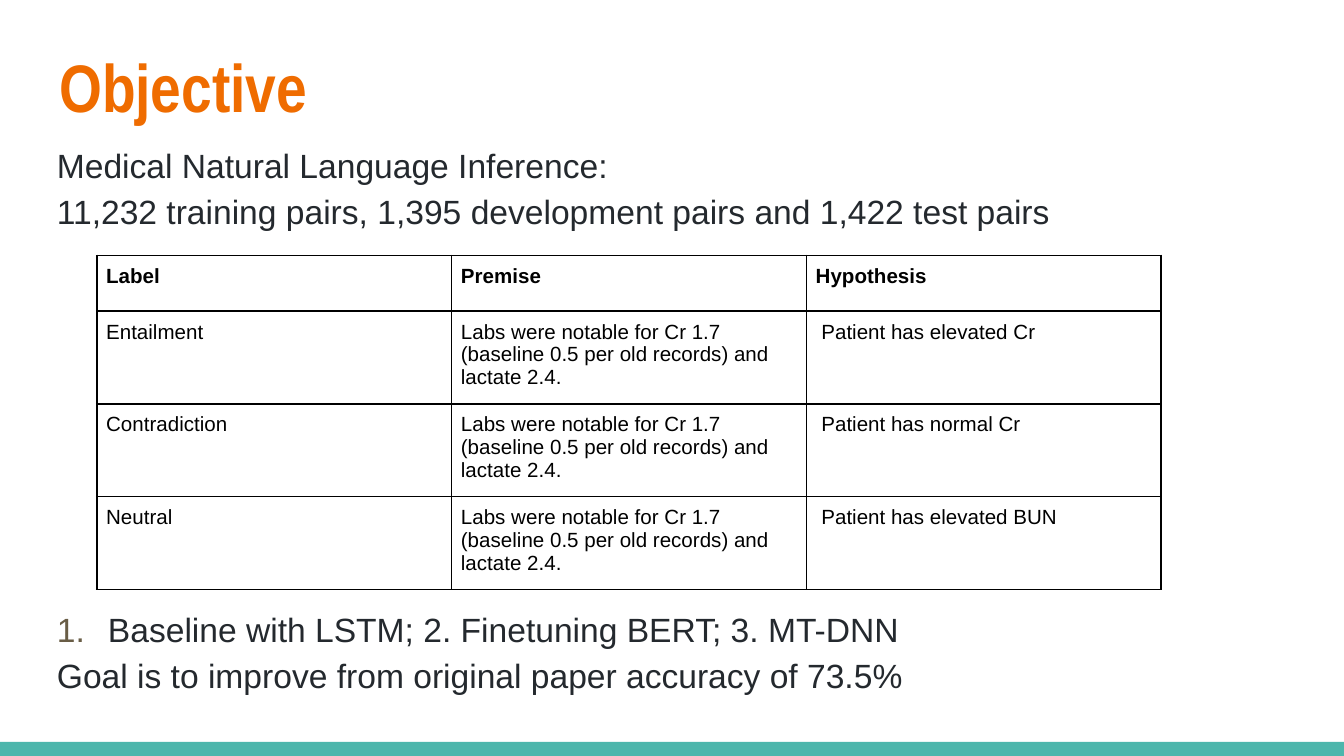
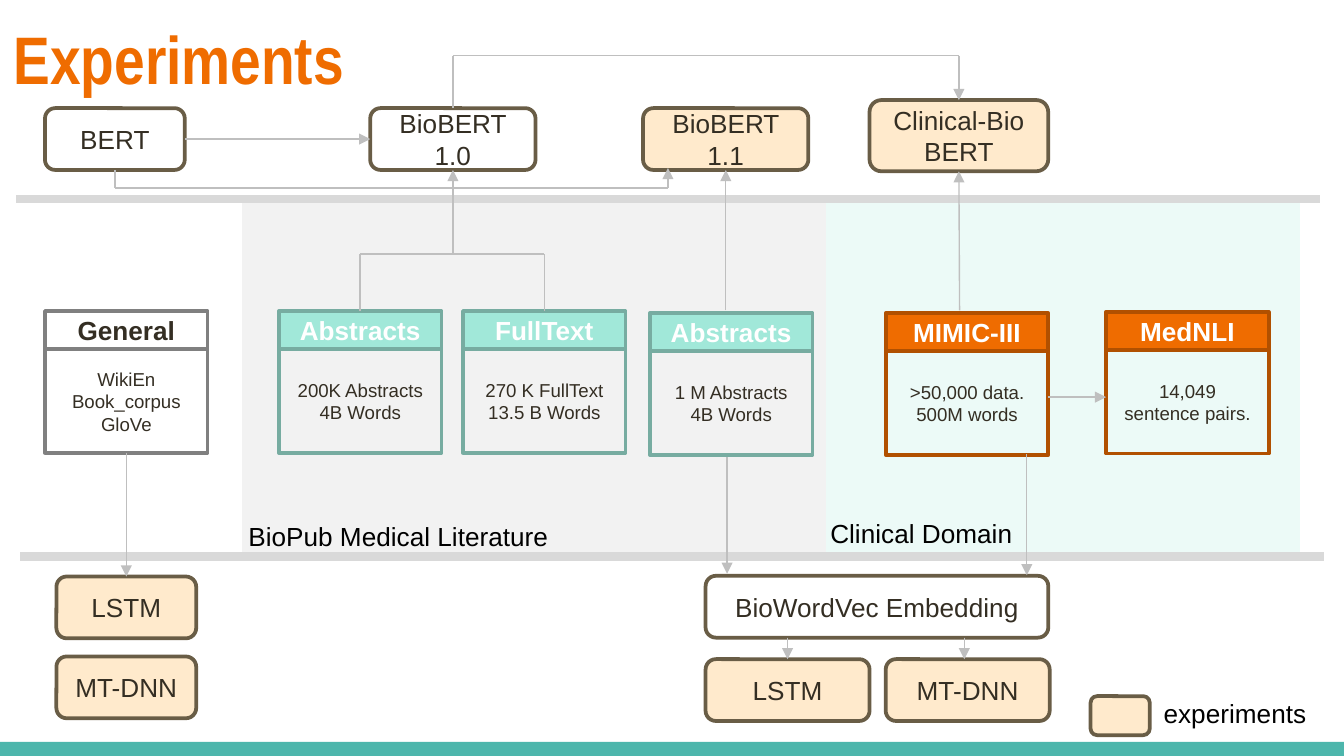
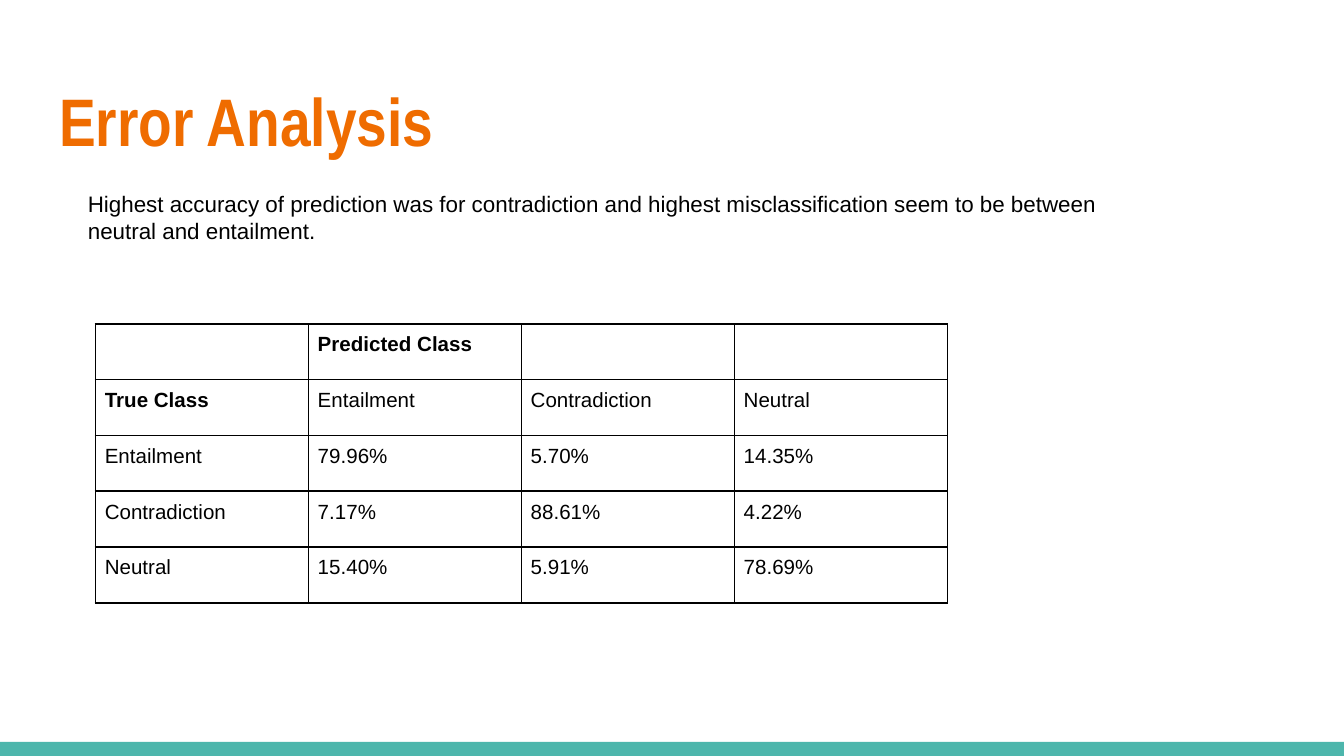
"""Build three slides on medical language inference."""
from dataclasses import dataclass
from typing import NamedTuple

from lxml.etree import SubElement as Sub
from pptx import Presentation
from pptx.dml.color import RGBColor as RGB
from pptx.enum.shapes import MSO_CONNECTOR as Link, MSO_SHAPE as Kind
from pptx.enum.text import MSO_ANCHOR as Anchor, MSO_AUTO_SIZE as Fit, PP_ALIGN as Align
from pptx.oxml import parse_xml as to_xml
from pptx.oxml.ns import nsdecls, qn
from pptx.shapes.autoshape import Shape
from pptx.slide import Slide
from pptx.text.text import TextFrame
from pptx.util import Pt

SCALE = 4572
WIDE, TALL = 2000, 1125

BLACK = RGB(0x00, 0x00, 0x00)
WHITE = RGB(0xFF, 0xFF, 0xFF)
ORANGE = RGB(0xEF, 0x6C, 0x00)
RUST = RGB(0xB1, 0x50, 0x00)
TEAL = RGB(0x4D, 0xB6, 0xAC)
MINT = RGB(0xA1, 0xE8, 0xD9)
SAGE = RGB(0x77, 0xAC, 0xA1)
FOAM = RGB(0xEC, 0xFA, 0xF7)
CREAM = RGB(0xFF, 0xEA, 0xCC)
BROWN = RGB(0x69, 0x5D, 0x46)
DARK = RGB(0x34, 0x2E, 0x23)
SLATE = RGB(0x24, 0x29, 0x2E)
GREY = RGB(0x80, 0x80, 0x80)
SILVER = RGB(0xBF, 0xBF, 0xBF)
ASH = RGB(0xD9, 0xD9, 0xD9)
PALE = RGB(0xF2, 0xF2, 0xF2)


@dataclass(frozen=True)
class Style:
    size: int
    ink: RGB = BLACK
    bold: bool = False
    align: Align = Align.LEFT
    face: str = "Arial"


HEAD = Style(36, ORANGE, True, face="Arial Narrow")
BODY = Style(18, SLATE)
NOTE = Style(12)
LABEL = Style(14)
NODE = Style(14, DARK, align=Align.CENTER)
FACT = Style(10, DARK, align=Align.CENTER)
CELL = Style(11)
STRONG = Style(11, bold=True)


class Box(NamedTuple):
    x: int
    y: int
    w: int
    h: int


class Node(NamedTuple):
    box: Box
    lines: tuple[str, ...]
    fill: RGB | None = CREAM


class Card(NamedTuple):
    x: int
    y: int
    title: str
    lines: tuple[str, ...]
    fill: RGB | None = MINT
    edge: RGB = SAGE
    ink: RGB = WHITE


class Wire(NamedTuple):
    x1: int
    y1: int
    x2: int
    y2: int
    arrow: bool = True


class Grid(NamedTuple):
    x: int
    y: int
    col: int
    row: int
    cells: tuple[tuple[str, ...], ...]
    bold: tuple[str, ...]


LABS = "Labs were notable for Cr 1.7 (baseline 0.5 per old records) and lactate 2.4."
PAIRS = Grid(144, 380, 528, 83, (
    ("Label", "Premise", "Hypothesis"),
    ("Entailment", LABS, " Patient has elevated Cr"),
    ("Contradiction", LABS, " Patient has normal Cr"),
    ("Neutral", LABS, " Patient has elevated BUN"),
), ("Label", "Premise", "Hypothesis"))
ERRORS = Grid(142, 482, 317, 83, (
    ("", "Predicted Class", "", ""),
    ("True Class", "Entailment", "Contradiction", "Neutral"),
    ("Entailment", "79.96%", "5.70%", "14.35%"),
    ("Contradiction", "7.17%", "88.61%", "4.22%"),
    ("Neutral", "15.40%", "5.91%", "78.69%"),
), ("Predicted Class", "True Class"))

PANELS = ((Box(1232, 296, 700, 532), FOAM), (Box(363, 296, 864, 532), PALE))
RAILS = (Wire(24, 296, 1964, 296, False), Wire(30, 828, 1970, 828, False))
CARDS = (
    Card(67, 463, "General", ("WikiEn", "Book_corpus", "GloVe"), None, GREY, DARK),
    Card(415, 463, "Abstracts", ("200K Abstracts", "4B Words")),
    Card(689, 463, "FullText", ("270 K FullText", "13.5 B Words")),
    Card(967, 466, "Abstracts", ("1 M Abstracts", "4B Words")),
    Card(1318, 466, "MIMIC-III", (">50,000 data. 500M words",), ORANGE, RUST),
    Card(1646, 464, "MedNLI", ("14,049 sentence pairs.",), ORANGE, RUST),
)
NODES = (
    Node(Box(67, 161, 208, 92), ("BERT",), None),
    Node(Box(551, 161, 246, 92), ("BioBERT 1.0",), None),
    Node(Box(957, 161, 246, 92), ("BioBERT 1.1",)),
    Node(Box(1294, 149, 266, 106), ("Clinical-Bio", "BERT")),
    Node(Box(84, 858, 208, 92), ("LSTM",)),
    Node(Box(84, 977, 208, 92), ("MT-DNN",)),
    Node(Box(1050, 857, 510, 92), ("BioWordVec Embedding",), None),
    Node(Box(1050, 981, 244, 92), ("LSTM",)),
    Node(Box(1318, 981, 244, 92), ("MT-DNN",)),
    Node(Box(1623, 1036, 88, 58), ()),
)
LABELS = (
    (Box(350, 764, 632, 68), "BioPub Medical Literature"),
    (Box(1216, 760, 452, 68), "Clinical Domain"),
    (Box(1712, 1028, 280, 68), "experiments"),
)
WIRES = (
    Wire(1560, 591, 1646, 591),
    Wire(536, 463, 536, 378, False),
    Wire(536, 378, 810, 378, False),
    Wire(810, 463, 810, 378, False),
    Wire(674, 378, 674, 253),
    Wire(674, 161, 674, 83, False),
    Wire(674, 83, 1427, 83, False),
    Wire(1427, 83, 1427, 149),
    Wire(1428, 462, 1427, 255),
    Wire(1080, 462, 1080, 253),
    Wire(275, 207, 551, 207),
    Wire(171, 253, 171, 280, False),
    Wire(171, 280, 994, 280, False),
    Wire(994, 280, 994, 250),
    Wire(188, 674, 188, 858),
    Wire(1082, 680, 1082, 854),
    Wire(1528, 676, 1528, 856),
    Wire(1172, 949, 1172, 981),
    Wire(1435, 949, 1435, 981),
)


def px(*sizes: int) -> list[int]:
    return [size * SCALE for size in sizes]


def pad(frame: TextFrame, side: int, top: int) -> None:
    frame.margin_left = frame.margin_right = side * SCALE
    frame.margin_top = frame.margin_bottom = top * SCALE


def write(frame: TextFrame, lines: tuple[str, ...], style: Style) -> None:
    for i, line in enumerate(lines):
        para = frame.add_paragraph() if i else frame.paragraphs[0]
        para.alignment = style.align
        if line:
            run = para.add_run()
            run.text = line
            font = run.font
            font.name, font.size, font.bold = style.face, Pt(style.size), style.bold
            font.color.rgb = style.ink
        Sub(para._p, qn("a:endParaRPr"), sz=str(style.size * 100))


def block(slide: Slide, box: Box, fill: RGB | None, edge: RGB | None = None,
          kind: Kind = Kind.RECTANGLE) -> Shape:
    shape = slide.shapes.add_shape(kind, *px(*box))
    shape.shadow.inherit = False
    if fill is None:
        shape.fill.background()
    else:
        shape.fill.solid()
        shape.fill.fore_color.rgb = fill
    if edge is None:
        shape.line.fill.background()
    else:
        shape.line.color.rgb = edge
        shape.line.width = Pt(2)
    return shape


def fill_in(shape: Shape, lines: tuple[str, ...], style: Style) -> Shape:
    frame = shape.text_frame
    frame.word_wrap = True
    frame.vertical_anchor = Anchor.MIDDLE
    write(frame, lines, style)
    return shape


def text(slide: Slide, box: Box, lines: tuple[str, ...], style: Style,
         top: int = 10) -> TextFrame:
    frame = slide.shapes.add_textbox(*px(*box)).text_frame
    frame.word_wrap = True
    pad(frame, 20, top)
    write(frame, lines, style)
    return frame


def start(deck: Presentation, title: str, x: int, y: int) -> Slide:
    slide = deck.slides.add_slide(deck.slide_layouts.get_by_name("Title Only"))
    block(slide, Box(0, 1104, WIDE, TALL - 1104), TEAL)
    head = slide.shapes.title
    head.left, head.top, head.width, head.height = px(x, y, 1864, 154)
    frame = head.text_frame
    frame.word_wrap = True
    frame.auto_size = Fit.NONE
    frame.vertical_anchor = Anchor.TOP
    pad(frame, 20, 20)
    write(frame, (title,), HEAD)
    return slide


def table(slide: Slide, grid: Grid) -> None:
    rows, cols = len(grid.cells), len(grid.cells[0])
    size = px(grid.x, grid.y, grid.col * cols, grid.row * rows)
    sheet = slide.shapes.add_table(rows, cols, *size).table
    sheet.first_row = sheet.horz_banding = False
    for r, row in enumerate(grid.cells):
        for c, word in enumerate(row):
            cell = sheet.cell(r, c)
            pad(cell, 14, 14)
            cell.fill.background()
            write(cell.text_frame, (word,), STRONG if word in grid.bold else CELL)
            props = cell._tc.get_or_add_tcPr()
            for i, side in enumerate("LRTB"):
                props.insert(i, to_xml(
                    f'<a:ln{side} {nsdecls("a")} w="{Pt(1)}"><a:solidFill>'
                    f'<a:srgbClr val="{BLACK}"/></a:solidFill></a:ln{side}>'))


def site(shapes: list[Shape], x: int, y: int) -> tuple[Shape, int] | None:
    for shape in shapes:
        left, top, wide, tall = shape.left, shape.top, shape.width, shape.height
        mid, row = left + wide // 2, top + tall // 2
        spots = ((mid, top), (left, row), (mid, top + tall), (left + wide, row))
        for i, (a, b) in enumerate(spots):
            if max(abs(a - x * SCALE), abs(b - y * SCALE)) <= SCALE:
                return shape, i
    return None


def draw(slide: Slide, wire: Wire, ink: RGB, width: float, shapes: list[Shape]) -> None:
    line = slide.shapes.add_connector(Link.STRAIGHT, *px(*wire[:4]))
    line.line.color.rgb = ink
    line.line.width = Pt(width)
    if first := site(shapes, wire.x1, wire.y1):
        line.begin_connect(*first)
    if last := site(shapes, wire.x2, wire.y2):
        line.end_connect(*last)
    props = line.element.spPr
    if wire.arrow:
        Sub(props.find(qn("a:ln")), qn("a:tailEnd"), type="triangle")
    Sub(props, qn("a:effectLst"))


def aim(deck: Presentation) -> None:
    slide = start(deck, "Objective", 68, 47)
    frame = text(slide, Box(40, 186, 1864, 722), (
        "Medical Natural Language Inference:",
        "11,232 training pairs, 1,395 development pairs and 1,422 test pairs",
        "Baseline with LSTM; 2. Finetuning BERT; 3. MT-DNN",
        "Goal is to improve from original paper accuracy of 73.5%",
    ), BODY, 20)
    for para in frame.paragraphs:
        para.line_spacing = 1.15
        para._p.get_or_add_pPr().set("marL", str(25 * SCALE))
    step = frame.paragraphs[2]
    step.space_before = Pt(199)
    props = step._p.get_or_add_pPr()
    props.set("marL", str(101 * SCALE))
    props.set("indent", str(-76 * SCALE))
    Sub(Sub(props, qn("a:buClr")), qn("a:srgbClr"), val=str(BROWN))
    Sub(props, qn("a:buAutoNum"), type="arabicPeriod")
    table(slide, PAIRS)


def tests(deck: Presentation) -> None:
    slide = start(deck, "Experiments", 0, 6)
    for box, fill in PANELS:
        block(slide, box, fill, fill)
    for rail in RAILS:
        draw(slide, rail, ASH, 4.5, [])
    shapes = []
    for card in CARDS:
        top = block(slide, Box(card.x, card.y, 242, 57), card.fill, card.edge)
        base = block(slide, Box(card.x, card.y + 57, 242, 154), None, card.edge)
        shapes += [fill_in(top, (card.title,), Style(14, card.ink, True, Align.CENTER)),
                   fill_in(base, card.lines, FACT)]
    for node in NODES:
        shape = block(slide, node.box, node.fill, BROWN, Kind.FLOWCHART_ALTERNATE_PROCESS)
        shapes.append(fill_in(shape, node.lines, NODE))
    for box, word in LABELS:
        text(slide, box, (word,), LABEL)
    for wire in WIRES:
        draw(slide, wire, SILVER, 0.75, shapes)


def faults(deck: Presentation) -> None:
    slide = start(deck, "Error Analysis", 68, 98)
    text(slide, Box(111, 263, 1602, 208), (
        "Highest accuracy of prediction was for contradiction and highest "
        "misclassification seem to be between neutral and entailment.",
    ), NOTE, 20)
    table(slide, ERRORS)


def main() -> None:
    deck = Presentation()
    deck.slide_width, deck.slide_height = px(WIDE, TALL)
    aim(deck)
    tests(deck)
    faults(deck)
    deck.save("out.pptx")


if __name__ == "__main__":
    main()
